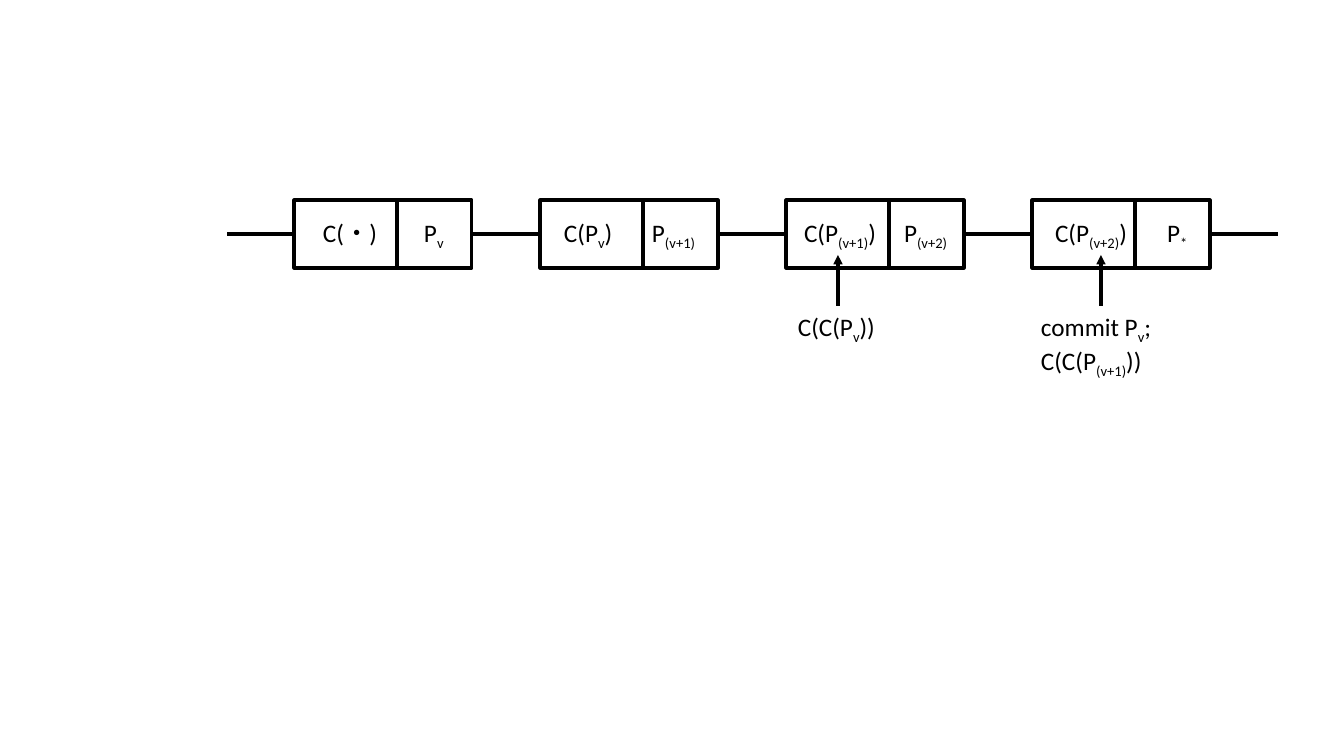
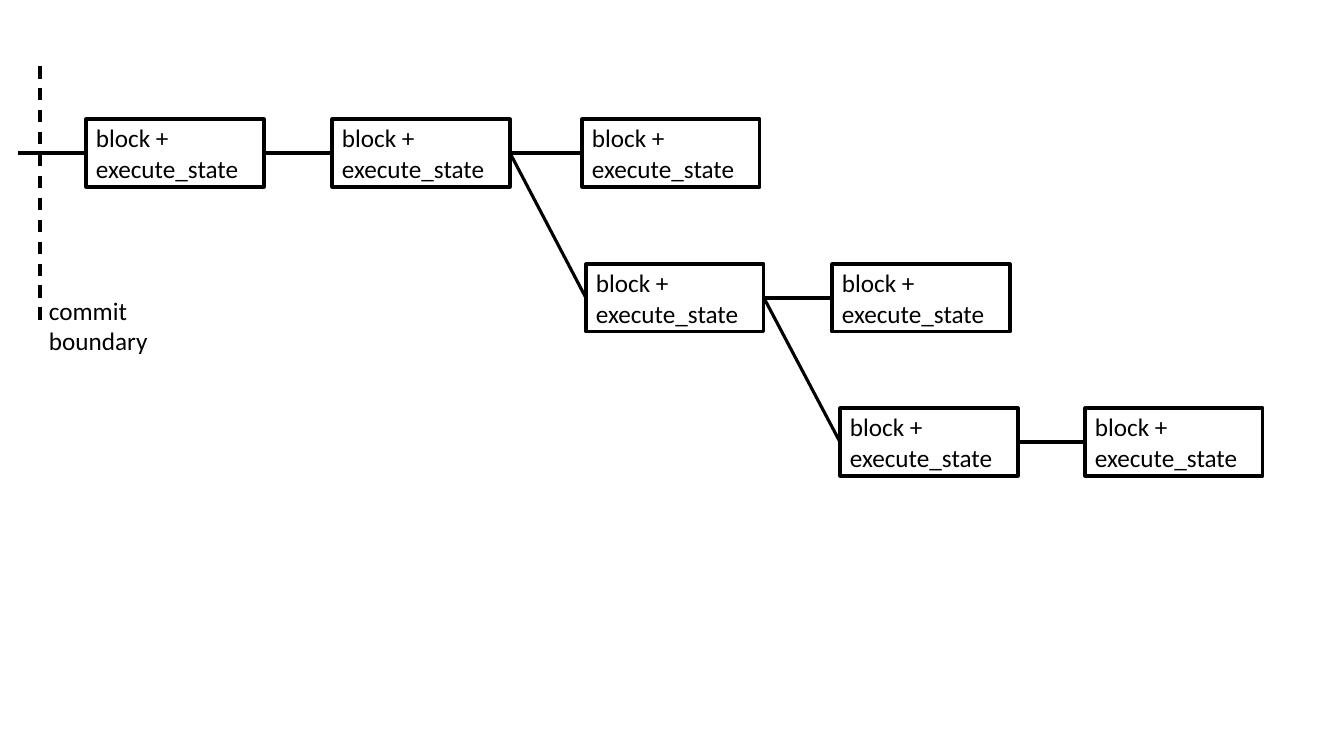
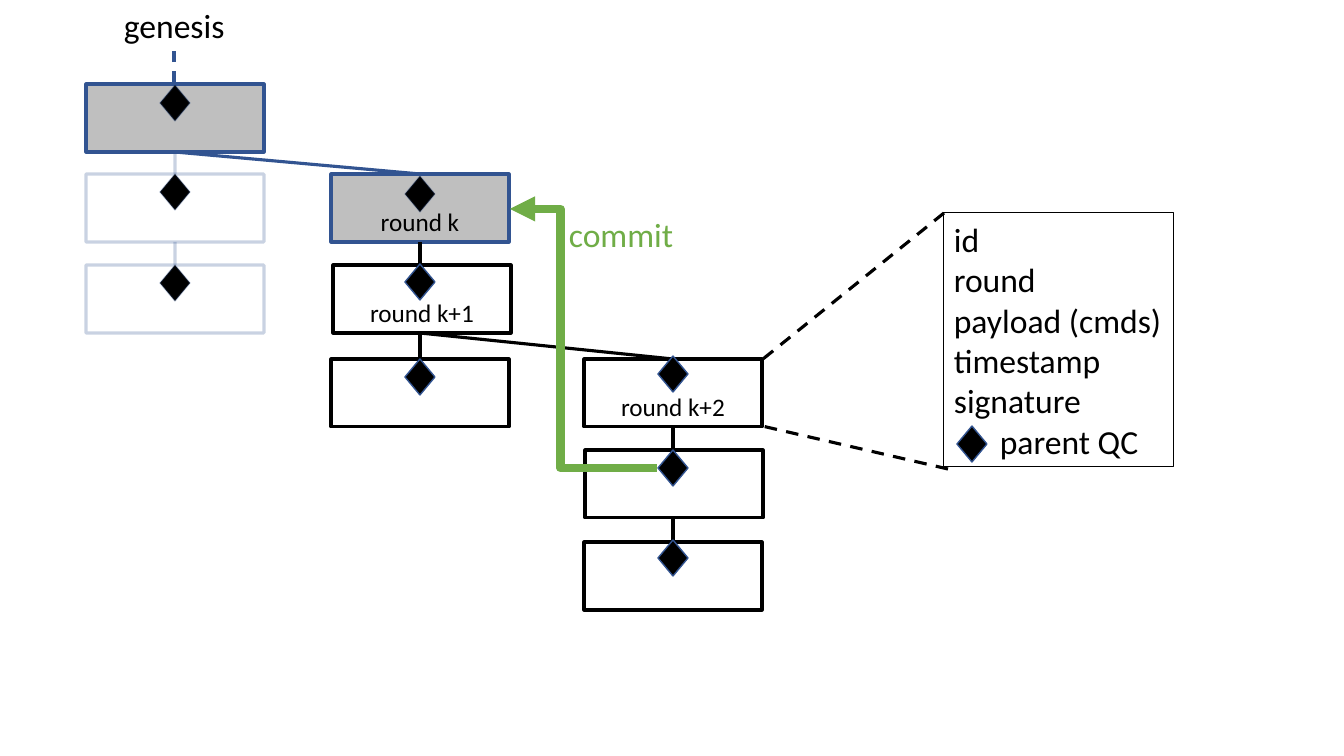
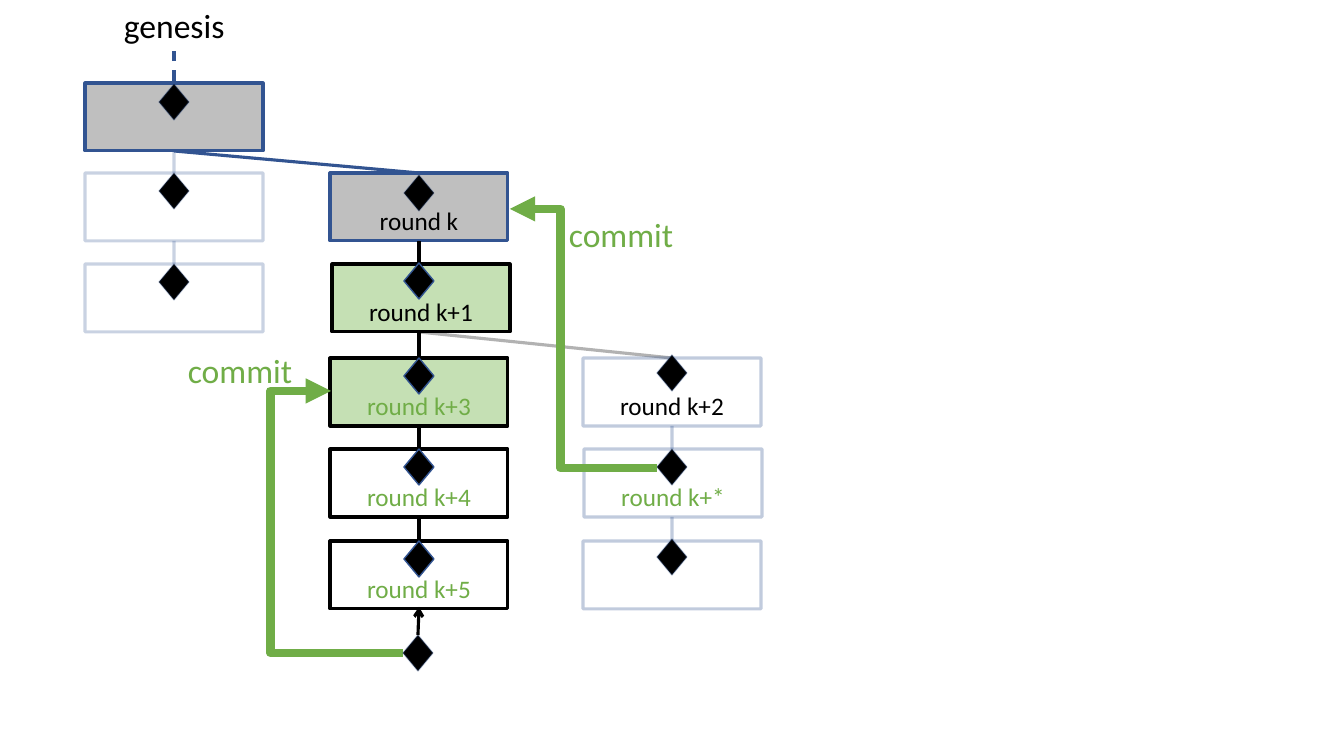
from dataclasses import dataclass
from typing import NamedTuple, Optional

from lxml import etree
from pptx import Presentation
from pptx.dml.color import RGBColor
from pptx.enum.dml import MSO_LINE
from pptx.enum.shapes import MSO_CONNECTOR, MSO_SHAPE
from pptx.enum.text import MSO_ANCHOR, MSO_AUTO_SIZE, PP_ALIGN
from pptx.oxml.ns import qn
from pptx.util import Pt

EMU_PER_PIXEL = 914400 / 100.8
SLIDE_SIZE = (1344, 756)
BLANK_LAYOUT = 6

RECTANGLE, DIAMOND = MSO_SHAPE.RECTANGLE, MSO_SHAPE.DIAMOND
STRAIGHT, ELBOW = MSO_CONNECTOR.STRAIGHT, MSO_CONNECTOR.ELBOW
LEFT, CENTER = PP_ALIGN.LEFT, PP_ALIGN.CENTER
MIDDLE, BOTTOM = MSO_ANCHOR.MIDDLE, MSO_ANCHOR.BOTTOM
FIT_SHAPE = MSO_AUTO_SIZE.SHAPE_TO_FIT_TEXT
DASH = MSO_LINE.DASH

FONT = "Calibri"
BLACK, BLUE, GREEN = "000000", "325491", "70AD47"
GRAY_FILL, GREEN_FILL = "BFBFBF", "C5E0B4"

BLOCK_WIDTH, BLOCK_HEIGHT = 178, 68
DIAMOND_WIDTH, DIAMOND_HEIGHT = 30, 36

Point = tuple[int, int]
Box = tuple[int, int, int, int]
Runs = tuple[str, ...]  # normal and subscript text in turn


class Pen(NamedTuple):
    """Colour, width in points, opacity in percent and dash of a line."""
    color: str
    width: float = 2.25
    opacity: int = 100
    dashed: bool = False


class TextStyle(NamedTuple):
    """Size, colour and alignment of a paragraph."""
    size: int = 18
    color: str = BLACK
    align: PP_ALIGN = LEFT


BLACK_PEN, BLACK_DASHES = Pen(BLACK), Pen(BLACK, dashed=True)
BLUE_PEN, BLUE_DASHES = Pen(BLUE), Pen(BLUE, dashed=True)
COMMIT_PEN = Pen(GREEN, 6)
BODY, LARGE = TextStyle(), TextStyle(24)
COMMIT_TEXT = TextStyle(24, GREEN)


def px(pixels: float) -> int:
    """Turn pixels into EMU."""
    return round(pixels * EMU_PER_PIXEL)


def rgb(color: str) -> RGBColor:
    """Turn a hex string into a colour."""
    return RGBColor.from_string(color)


def apply_pen(shape, pen: Pen) -> None:
    """Set the outline of a shape or the stroke of a connector."""
    shape.line.color.rgb = rgb(pen.color)
    shape.line.width = Pt(pen.width)
    if pen.dashed:
        shape.line.dash_style = DASH
    if pen.opacity < 100:
        color = shape._element.xpath("./p:spPr/a:ln//a:srgbClr")[0]
        etree.SubElement(color, qn("a:alpha"), val=str(pen.opacity * 1000))


def add_line(slide, start: Point, end: Point, pen: Pen = BLACK_PEN,
             head: str = "", bend: Optional[float] = None) -> None:
    """Draw a line, with an arrowhead at its end or one bend if asked."""
    kind = STRAIGHT if bend is None else ELBOW
    connector = slide.shapes.add_connector(kind, *map(px, start + end))
    apply_pen(connector, pen)
    properties = connector._element.spPr
    if head:
        stroke = properties.find(qn("a:ln"))
        etree.SubElement(stroke, qn("a:tailEnd"), type=head)
    if bend is not None:
        guides = properties.find(qn("a:prstGeom")).get_or_add_avLst()
        etree.SubElement(guides, qn("a:gd"), name="adj1",
                         fmla=f"val {round(bend * 100000)}")
    etree.SubElement(properties, qn("a:effectLst"))


def add_preset(slide, kind: MSO_SHAPE, box: Box, pen: Pen = BLACK_PEN,
               fill: str = ""):
    """Draw a preset shape without shadow."""
    shape = slide.shapes.add_shape(kind, *map(px, box))
    shape.shadow.inherit = False
    if fill:
        shape.fill.solid()
        shape.fill.fore_color.rgb = rgb(fill)
    else:
        shape.fill.background()
    apply_pen(shape, pen)
    return shape


def write(shape, lines: list[Runs], style: TextStyle = BODY) -> None:
    """Write one paragraph a line, every second run as a subscript."""
    frame = shape.text_frame
    for number, runs in enumerate(lines):
        paragraph = frame.add_paragraph() if number else frame.paragraphs[0]
        paragraph.alignment = style.align
        for index, text in enumerate(runs):
            run = paragraph.add_run()
            run.text = text
            run.font.name = FONT
            run.font.size = Pt(style.size)
            run.font.color.rgb = rgb(style.color)
            if index % 2:
                run._r.get_or_add_rPr().set("baseline", "-25000")


def fit_to_text(shape) -> None:
    """Let a shape grow with its unwrapped text."""
    shape.text_frame.word_wrap = False
    shape.text_frame.auto_size = FIT_SHAPE


def add_text(slide, box: Box, lines: list[Runs],
             style: TextStyle = BODY) -> None:
    """Add a text box that fits its text."""
    text_box = slide.shapes.add_textbox(*map(px, box))
    fit_to_text(text_box)
    write(text_box, lines, style)


# Chain of commitments

CHAIN_LEFT, CHAIN_TOP, CHAIN_STEP, CHAIN_GAP = 294, 200, 246, 67
DIVIDER = 103


class Commitment(NamedTuple):
    """Text of a divided block and the offsets of its two parts."""
    runs: Runs
    first: int
    second: int


class Pointer(NamedTuple):
    """Note below the chain and the place of its arrow."""
    x: int
    box: Box
    lines: list[Runs]


COMMITMENTS = [
    Commitment(("C(・)\tP", "v"), 29, 130),
    Commitment(("C(P", "v", ")\tP", "(v+1)"), 24, 112),
    Commitment(("C(P", "(v+1)", ")\tP", "(v+2)"), 18, 118),
    Commitment(("C(P", "(v+2)", ")\tP", "*"), 23, 135),
]
POINTERS = [
    Pointer(838, (788, 306, 100, 40), [("C(C(P", "v", "))")]),
    Pointer(1101, (1031, 306, 138, 72),
            [("commit P", "v", ";"), ("C(C(P", "(v+1)", "))")]),
]


def add_commitment(slide, left: int, commitment: Commitment) -> None:
    """Draw a block divided into a commitment and a payload."""
    block = add_preset(slide, RECTANGLE,
                       (left, CHAIN_TOP, BLOCK_WIDTH, BLOCK_HEIGHT))
    block.text_frame.margin_left = px(commitment.first)
    block.text_frame.vertical_anchor = MIDDLE
    write(block, [commitment.runs])
    properties = block.text_frame.paragraphs[0]._p.get_or_add_pPr()
    stops = etree.SubElement(properties, qn("a:tabLst"))
    etree.SubElement(stops, qn("a:tab"), algn="l",
                     pos=str(px(commitment.second - commitment.first)))
    add_line(slide, (left + DIVIDER, CHAIN_TOP),
             (left + DIVIDER, CHAIN_TOP + BLOCK_HEIGHT))


def draw_commitment_chain(slide) -> None:
    """Draw the chain of divided blocks with its notes."""
    middle = CHAIN_TOP + BLOCK_HEIGHT // 2
    for index in range(len(COMMITMENTS) + 1):
        left = CHAIN_LEFT + index * CHAIN_STEP
        add_line(slide, (left, middle), (left - CHAIN_GAP, middle))
    for index, commitment in enumerate(COMMITMENTS):
        add_commitment(slide, CHAIN_LEFT + index * CHAIN_STEP, commitment)
    for pointer in POINTERS:
        add_text(slide, pointer.box, pointer.lines)
        add_line(slide, (pointer.x, 306), (pointer.x, 255), head="triangle")


# Forks of executed blocks

class StateBlock(NamedTuple):
    """Place of an executed block and the index of its parent."""
    left: int
    top: int
    parent: Optional[int]


STATE_BLOCKS = [
    StateBlock(86, 119, None),
    StateBlock(332, 119, 0),
    StateBlock(582, 119, 1),
    StateBlock(586, 264, 1),
    StateBlock(832, 264, 3),
    StateBlock(840, 408, 3),
    StateBlock(1085, 408, 5),
]


def draw_state_forks(slide) -> None:
    """Draw the executed blocks and the commit boundary."""
    half = BLOCK_HEIGHT // 2
    for block in STATE_BLOCKS:
        if block.parent is None:
            start = (18, block.top + half)
        else:
            parent = STATE_BLOCKS[block.parent]
            start = (parent.left + BLOCK_WIDTH, parent.top + half)
        add_line(slide, (block.left, block.top + half), start)
        shape = add_preset(slide, RECTANGLE,
                           (block.left, block.top, BLOCK_WIDTH, BLOCK_HEIGHT))
        shape.text_frame.vertical_anchor = MIDDLE
        write(shape, [("block + execute_state",)])
    add_line(slide, (40, 66), (40, 322), BLACK_DASHES)
    add_text(slide, (39, 290, 120, 72), [("commit",), ("boundary",)])


# Trees of rounds

COLUMN_CENTERS = (175, 420, 673)
ROW_TOPS = (84, 174, 265, 359, 450, 542)
GENESIS_X = 174


class RoundStyle(NamedTuple):
    """Look of a block, its link to the parent and its diamond."""
    outline: Pen = BLACK_PEN
    link: Pen = BLACK_PEN
    diamond_opacity: int = 100
    fill: str = ""


def faded_style(opacity: int) -> RoundStyle:
    """Give the look of an abandoned block."""
    pen = Pen(BLUE, opacity=opacity)
    return RoundStyle(pen, pen, opacity)


OPEN = RoundStyle()
LOCKED = RoundStyle(fill=GREEN_FILL)
ROOT = RoundStyle(BLUE_PEN, BLUE_PEN, 30, GRAY_FILL)
COMMITTED = RoundStyle(BLUE_PEN, BLUE_PEN, 25, GRAY_FILL)
STALE, ABANDONED = faded_style(25), faded_style(30)
FORKED = ABANDONED._replace(link=Pen(BLACK, opacity=30))


@dataclass(frozen=True)
class Round:
    """Block of a tree; shift and drop move the block and its diamond."""
    column: int
    row: int
    parent: Optional[int]
    style: RoundStyle = OPEN
    label: str = ""
    label_color: str = BLACK
    shift: int = 0
    drop: int = 0


def first_rounds(next_style: RoundStyle) -> list[Round]:
    """Give the blocks up to round k+1, which both trees share."""
    return [
        Round(0, 0, None, ROOT, drop=1),
        Round(0, 1, 0, STALE),
        Round(0, 2, 1, STALE),
        Round(1, 1, 0, COMMITTED, "round k", drop=2),
        Round(1, 2, 3, next_style, "round k+1", shift=2, drop=-1),
    ]


COMMIT_TREE = first_rounds(OPEN) + [
    Round(1, 3, 4),
    Round(2, 3, 4, OPEN, "round k+2", drop=-3),
    Round(2, 4, 6, shift=1),
    Round(2, 5, 7, drop=-2),
]
RECOVERY_TREE = first_rounds(LOCKED) + [
    Round(1, 3, 4, LOCKED, "round k+3", GREEN),
    Round(2, 3, 4, FORKED, "round k+2", drop=-3),
    Round(2, 4, 6, ABANDONED, "round k+*", GREEN, shift=1),
    Round(2, 5, 7, ABANDONED, drop=-2),
    Round(1, 4, 5, OPEN, "round k+4", GREEN),
    Round(1, 5, 9, OPEN, "round k+5", GREEN),
]
BLOCK_FIELDS = ["id", "round", "payload (cmds)", "timestamp", "signature",
                "parent QC"]


def add_diamond(slide, left: int, top: int, opacity: int = 100) -> None:
    """Draw the diamond that stands for a certificate."""
    add_preset(slide, DIAMOND, (left, top, DIAMOND_WIDTH, DIAMOND_HEIGHT),
               Pen(BLUE, 1, opacity), BLACK)


def add_commit(slide, start: Point, end: Point, bend: float,
               label: Point) -> None:
    """Draw a bent commit arrow with its label."""
    add_line(slide, start, end, COMMIT_PEN, "triangle", bend)
    add_text(slide, (*label, 125, 50), [("commit",)], COMMIT_TEXT)


def draw_tree(slide, rounds: list[Round], offset: int = 0) -> None:
    """Draw genesis, linked blocks, diamonds and the commit of round k."""
    centers = [center + offset for center in COLUMN_CENTERS]
    tops = [top + offset for top in ROW_TOPS]
    add_text(slide, (114, 0, 122, 50), [("genesis",)], LARGE)
    add_line(slide, (GENESIS_X, tops[0]), (GENESIS_X, 51), BLUE_DASHES)
    for block in rounds:
        center, top = centers[block.column], tops[block.row]
        if block.parent is not None:
            parent = rounds[block.parent]
            add_line(slide, (center, top),
                     (centers[parent.column], tops[parent.row] + BLOCK_HEIGHT),
                     block.style.link)
        left = center - BLOCK_WIDTH // 2 + block.shift
        shape = add_preset(slide, RECTANGLE,
                           (left, top, BLOCK_WIDTH, BLOCK_HEIGHT),
                           block.style.outline, block.style.fill)
        if block.label:
            shape.text_frame.vertical_anchor = BOTTOM
            write(shape, [(block.label,)],
                  TextStyle(18, block.label_color, CENTER))
    for block in rounds:
        add_diamond(slide, centers[block.column] - DIAMOND_WIDTH // 2,
                    tops[block.row] + block.drop, block.style.diamond_opacity)
    add_commit(slide, (657, 468), (510, 209), 0.657, (559, 209))


def draw_commit_tree(slide) -> None:
    """Draw the tree of rounds with the contents of one block."""
    draw_tree(slide, COMMIT_TREE)
    panel = add_preset(slide, RECTANGLE, (944, 213, 230, 254),
                       Pen(BLACK, 0.75))
    fit_to_text(panel)
    write(panel, [(field,) for field in BLOCK_FIELDS], LARGE)
    last_field = panel.text_frame.paragraphs[-1]._p.get_or_add_pPr()
    last_field.set("marL", str(px(46)))
    last_field.set("indent", "0")
    add_line(slide, (944, 213), (763, 359), BLACK_DASHES)
    add_line(slide, (948, 469), (762, 426), BLACK_DASHES)
    add_diamond(slide, 957, 426)


def draw_recovery_tree(slide) -> None:
    """Draw the tree in which another branch goes on."""
    draw_tree(slide, RECOVERY_TREE, -1)
    add_commit(slide, (403, 653), (331, 391), 1.842, (178, 345))
    add_diamond(slide, 403, 635, 30)
    add_line(slide, (418, 635), (419, 607), head="arrow")


def main() -> None:
    """Build and save the presentation."""
    presentation = Presentation()
    presentation.slide_width, presentation.slide_height = map(px, SLIDE_SIZE)
    layout = presentation.slide_layouts[BLANK_LAYOUT]
    for draw in (draw_commitment_chain, draw_state_forks, draw_commit_tree,
                 draw_recovery_tree):
        draw(presentation.slides.add_slide(layout))
    presentation.save("out.pptx")


main()
